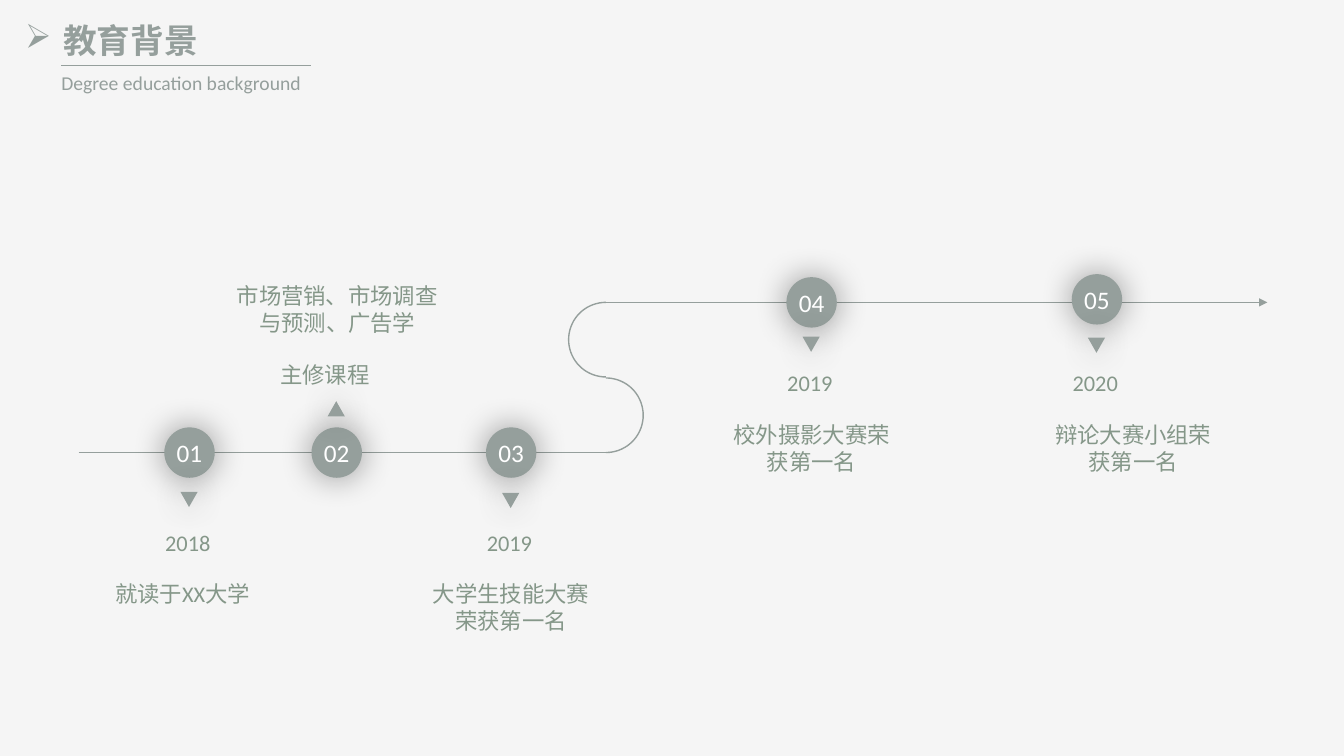
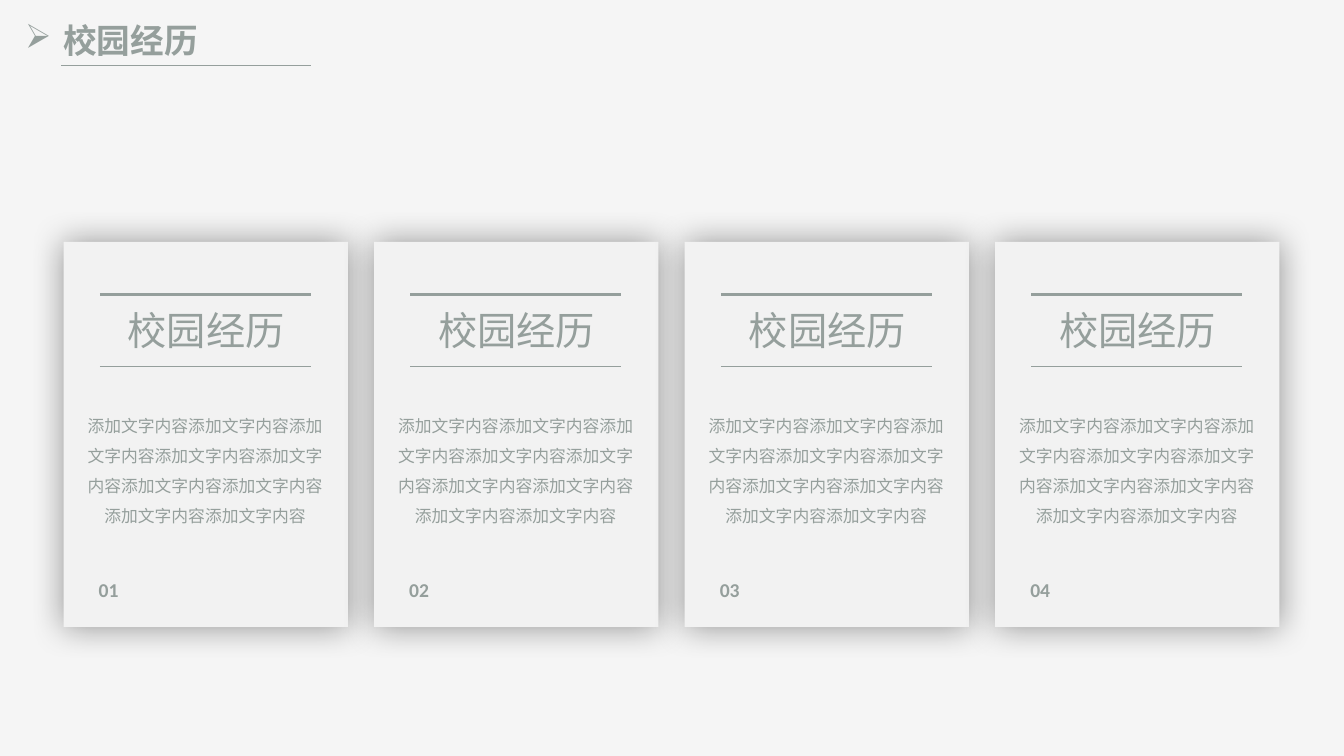
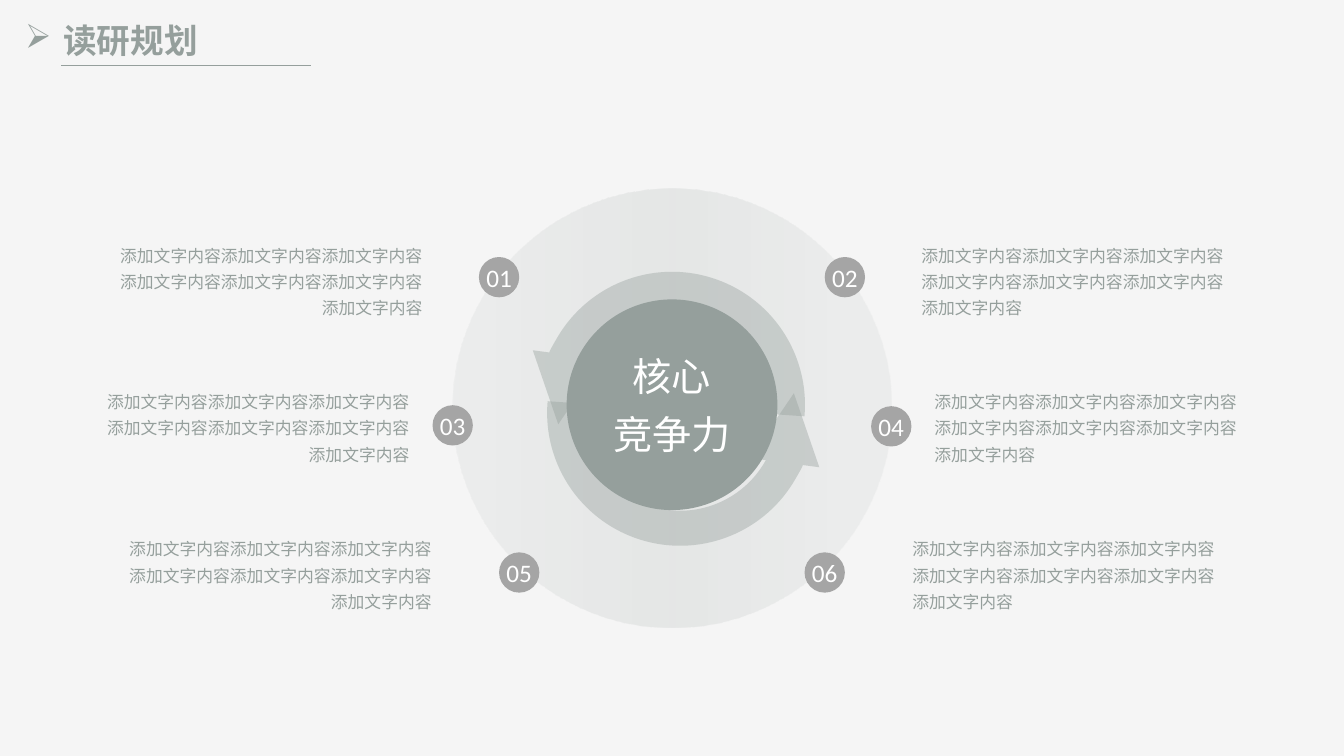
"""Build three résumé slides: education timeline, campus cards and study plan."""
import math
from dataclasses import dataclass
from typing import Any, Optional

import lxml.etree
import pptx
import pptx.dml.color
import pptx.enum.shapes
import pptx.enum.text
import pptx.oxml.ns
import pptx.util

Inches = pptx.util.Inches
Pt = pptx.util.Pt
qn = pptx.oxml.ns.qn
RGBColor = pptx.dml.color.RGBColor
Preset = pptx.enum.shapes.MSO_SHAPE
Align = pptx.enum.text.PP_ALIGN

SAGE = RGBColor(0x95, 0x9F, 0x9C)
LEAF = RGBColor(0x85, 0x97, 0x89)
GREY = RGBColor(0xA5, 0xA5, 0xA5)
CARD = RGBColor(0xF2, 0xF2, 0xF2)
PAPER = RGBColor(0xF5, 0xF5, 0xF5)
WHITE = RGBColor(0xFF, 0xFF, 0xFF)
FONT = "Calibri"
FILLER = "添加文字内容"
UPPER_Y, LOWER_Y, BEND_X, BEND_RADIUS = 3.0, 4.49, 6.01, 0.37
CARD_TOP, CARD_WIDTH, CARD_HEIGHT, CARD_PITCH = 2.4, 2.82, 3.82, 3.08


@dataclass(frozen=True)
class Area:
    """Left, top, width and height in inches."""
    left: float
    top: float
    width: float
    height: float

    def lengths(self) -> list[Any]:
        """Give the four lengths for python-pptx."""
        return [Inches(v) for v in (self.left, self.top, self.width, self.height)]


@dataclass(frozen=True)
class Style:
    """Look of one text."""
    size: float
    color: RGBColor = SAGE
    bold: bool = False
    align: Any = Align.LEFT
    spacing: Optional[float] = None
    wrap: bool = True


@dataclass(frozen=True)
class Milestone:
    """Numbered stop on the timeline with its pointer."""
    number: str
    left: float
    top: float
    pointer_top: float
    pointer_up: bool = False


@dataclass(frozen=True)
class Label:
    """Text placed beside a milestone."""
    text: str
    area: Area
    style: Style


@dataclass(frozen=True)
class Topic:
    """Numbered dot on the ring with its paragraph."""
    number: str
    dot: tuple[float, float]
    text: tuple[float, float]
    align: Any


TITLE = Style(24, bold=True, align=Align.JUSTIFY)
SUBTITLE = Style(14, align=Align.JUSTIFY)
NUMBER = Style(18, WHITE, align=Align.CENTER, wrap=False)
YEAR = Style(16, LEAF, wrap=False)
COURSE = Style(16, LEAF)
EVENT = Style(16, LEAF, align=Align.CENTER)
CARD_TITLE = Style(28, align=Align.CENTER, wrap=False)
CARD_BODY = Style(12, align=Align.CENTER, spacing=1.5)
CARD_NUMBER = Style(14, bold=True, wrap=False)
CORE = Style(28, WHITE, align=Align.CENTER)

MILESTONES = (
    Milestone("01", 1.63, 4.24, 4.88),
    Milestone("02", 3.09, 4.24, 3.98, pointer_up=True),
    Milestone("03", 4.82, 4.24, 4.89),
    Milestone("04", 7.8, 2.75, 3.34),
    Milestone("05", 10.63, 2.72, 3.35),
)
LABELS = (
    Label("2018", Area(1.54, 5.2, 0.66, 0.37), YEAR),
    Label("2019", Area(4.73, 5.2, 0.66, 0.37), YEAR),
    Label("2019", Area(7.71, 3.61, 0.66, 0.37), YEAR),
    Label("2020", Area(10.54, 3.61, 0.66, 0.37), YEAR),
    Label("主修课程", Area(2.68, 3.53, 1.34, 0.37), COURSE),
    Label("市场营销、市场调查与预测、广告学", Area(2.17, 2.75, 2.35, 0.64), EVENT),
    Label("就读于XX大学", Area(0.89, 5.71, 1.84, 0.37), EVENT),
    Label("大学生技能大赛荣获第一名", Area(4.13, 5.71, 1.88, 0.64), EVENT),
    Label("校外摄影大赛荣获第一名", Area(7.11, 4.13, 1.88, 0.64), EVENT),
    Label("辩论大赛小组荣获第一名", Area(10.3, 4.13, 1.88, 0.64), EVENT),
)
TOPICS = (
    Topic("01", (4.75, 2.55), (0.95, 2.33), Align.RIGHT),
    Topic("02", (8.18, 2.55), (9.04, 2.33), Align.LEFT),
    Topic("03", (4.29, 4.02), (0.82, 3.78), Align.RIGHT),
    Topic("04", (8.64, 4.03), (9.17, 3.78), Align.LEFT),
    Topic("05", (4.95, 5.48), (1.04, 5.24), Align.RIGHT),
    Topic("06", (7.98, 5.48), (8.95, 5.24), Align.LEFT),
)


def add_child(parent: Any, tag: str, **values: Any) -> Any:
    """Append an XML element with the given attributes."""
    return lxml.etree.SubElement(parent, qn(tag), {k: str(v) for k, v in values.items()})


def write(frame: Any, text: str, style: Style) -> None:
    """Put one styled paragraph into a text frame."""
    frame.word_wrap = style.wrap
    para = frame.paragraphs[0]
    para.alignment = style.align
    if style.spacing:
        para.line_spacing = style.spacing
    span = para.add_run()
    span.text = text
    formats = {"name": FONT, "size": Pt(style.size), "bold": style.bold}
    for name, value in formats.items():
        setattr(span.font, name, value)
    span.font.color.rgb = style.color


def add_text(page: Any, text: str, area: Area, style: Style) -> Any:
    """Add a text box."""
    box = page.shapes.add_textbox(*area.lengths())
    write(box.text_frame, text, style)
    box.text_frame.auto_size = pptx.enum.text.MSO_AUTO_SIZE.SHAPE_TO_FIT_TEXT
    return box


def add_shape(page: Any, preset: Any, area: Area, color: Optional[RGBColor],
              glow: bool = False) -> Any:
    """Add an unlined preset shape, with a soft shadow if asked."""
    shape = page.shapes.add_shape(preset, *area.lengths())
    shape.shadow.inherit = False
    shape.line.fill.background()
    if color is None:
        shape.fill.background()
    else:
        shape.fill.solid()
        shape.fill.fore_color.rgb = color
    if glow:
        effects = shape.element.spPr.find(qn("a:effectLst"))
        shadow = add_child(effects, "a:outerShdw", blurRad=Pt(24), dist=0, dir=0,
                           algn="ctr", rotWithShape=0)
        add_child(add_child(shadow, "a:srgbClr", val="000000"), "a:alpha", val=40000)
    return shape


def add_badge(page: Any, number: str, area: Area, color: RGBColor, glow: bool = False) -> None:
    """Add a round badge with a centred number."""
    badge = add_shape(page, Preset.OVAL, area, color, glow)
    frame = badge.text_frame
    for side in ("left", "top", "right", "bottom"):
        setattr(frame, f"margin_{side}", 0)
    frame.vertical_anchor = pptx.enum.text.MSO_ANCHOR.MIDDLE
    write(frame, number, NUMBER)


def set_line(shape: Any, width: float) -> Any:
    """Give a shape or connector a sage line and return its XML."""
    shape.line.color.rgb = SAGE
    shape.line.width = Pt(width)
    return shape.element.spPr.find(qn("a:ln"))


def add_rule(page: Any, left: float, right: float, y: float, width: float,
             arrow: bool = False) -> None:
    """Add a level line, optionally with an arrowhead at its right end."""
    rule = page.shapes.add_connector(
        pptx.enum.shapes.MSO_CONNECTOR.STRAIGHT,
        Inches(left), Inches(y), Inches(right), Inches(y))
    line = set_line(rule, width)
    if arrow:
        add_child(line, "a:tailEnd", type="triangle")
    add_child(rule.element.spPr, "a:effectLst")


def add_bend(page: Any, center_y: float, side: int) -> None:
    """Add a half circle bulging left (-1) or right (1)."""
    angles = [math.radians(degree) for degree in range(-90, 91, 5)]
    points = [(Inches(BEND_X + side * BEND_RADIUS * math.cos(angle)),
               Inches(center_y + BEND_RADIUS * math.sin(angle))) for angle in angles]
    builder = page.shapes.build_freeform(*points[0])
    builder.add_line_segments(points[1:], close=False)
    bend = builder.convert_to_shape()
    bend.shadow.inherit = False
    bend.fill.background()
    set_line(bend, 1)


def add_page(deck: Any, title: str) -> Any:
    """Add a blank page with the shared background and heading."""
    page = deck.slides.add_slide(deck.slide_layouts[6])
    page.background.fill.solid()
    page.background.fill.fore_color.rgb = PAPER
    box = add_text(page, title, Area(0.15, 0.15, 2.38, 0.5), TITLE)
    properties = box.element.find(".//" + qn("a:pPr"))
    properties.set("marL", str(Inches(0.38)))
    properties.set("indent", str(Inches(-0.38)))
    add_child(properties, "a:buChar", char="➢")
    add_rule(page, 0.61, 3.08, 0.65, 0.5)
    return page


def build_timeline(deck: Any) -> None:
    """Build the education timeline."""
    page = add_page(deck, "教育背景")
    add_text(page, "Degree education background", Area(0.51, 0.65, 3.22, 0.34), SUBTITLE)
    add_rule(page, 0.78, BEND_X, LOWER_Y, 1)
    add_rule(page, BEND_X, 12.57, UPPER_Y, 1, arrow=True)
    add_bend(page, UPPER_Y + BEND_RADIUS, -1)
    add_bend(page, LOWER_Y - BEND_RADIUS, 1)
    for stop in MILESTONES:
        add_badge(page, stop.number, Area(stop.left, stop.top, 0.5, 0.5), SAGE, glow=True)
        pointer = add_shape(page, Preset.ISOSCELES_TRIANGLE,
                            Area(stop.left + 0.16, stop.pointer_top, 0.17, 0.15),
                            SAGE, glow=True)
        pointer.rotation = 0 if stop.pointer_up else 180
    for label in LABELS:
        add_text(page, label.text, label.area, label.style)


def build_cards(deck: Any) -> None:
    """Build the row of four campus cards."""
    page = add_page(deck, "校园经历")
    for index in range(4):
        left = 0.63 + index * CARD_PITCH
        add_shape(page, Preset.RECTANGLE, Area(left, CARD_TOP, CARD_WIDTH, CARD_HEIGHT),
                  CARD, glow=True)
        add_text(page, FILLER * 9, Area(left + 0.14, 3.97, 2.53, 1.31), CARD_BODY)
        add_text(page, "校园经历", Area(left + 0.53, 2.99, 1.77, 0.57), CARD_TITLE)
        for y, width in ((2.92, 2.25), (3.63, 0.5)):
            add_rule(page, left + 0.36, left + 2.45, y, width)
        add_text(page, f"{index + 1:02}", Area(left + 0.25, 5.68, 0.42, 0.34), CARD_NUMBER)


def add_ring(page: Any) -> None:
    """Add the pale disc with its see-through gradient."""
    ring = add_shape(page, Preset.OVAL, Area(4.49, 1.87, 4.35, 4.35), SAGE)
    ring.fill.gradient()
    ring.fill.gradient_angle = 0
    stops = ring.element.spPr.find(".//" + qn("a:gsLst"))
    for stop in list(stops):
        stops.remove(stop)
    for position, alpha in ((0, 9), (50, 16), (100, 8)):
        stop = add_child(stops, "a:gs", pos=position * 1000)
        color = add_child(stop, "a:srgbClr", val=SAGE)
        add_child(color, "a:alpha", val=alpha * 1000)


def add_swirl(page: Any, left: float, top: float, rotation: int) -> None:
    """Add a thick translucent arc arrow."""
    swirl = add_shape(page, Preset.ARC, Area(left, top, 2.29, 2.29), None)
    swirl.adjustments[0] = 102.14
    swirl.adjustments[1] = 3.11
    swirl.rotation = rotation
    line = set_line(swirl, 25)
    add_child(line.find(".//" + qn("a:srgbClr")), "a:alpha", val=40000)
    add_child(line, "a:headEnd", type="triangle", w="sm", len="sm")


def build_plan(deck: Any) -> None:
    """Build the study plan around its core."""
    page = add_page(deck, "读研规划")
    add_ring(page)
    add_swirl(page, 5.52, 2.87, 0)
    add_swirl(page, 5.6, 2.95, 180)
    add_shape(page, Preset.OVAL, Area(5.62, 2.97, 2.09, 2.09), SAGE)
    for text, top in (("核心", 3.45), ("竞争力", 4.02)):
        add_text(page, text, Area(5.83, top, 1.67, 0.57), CORE)
    for topic in TOPICS:
        add_badge(page, topic.number, Area(*topic.dot, 0.4, 0.4), GREY)
        add_text(page, FILLER * 7, Area(*topic.text, 3.34, 0.86),
                 Style(12, align=topic.align, spacing=1.3))


def main() -> None:
    """Build and save the deck."""
    deck = pptx.Presentation()
    deck.slide_width = Inches(13.33)
    deck.slide_height = Inches(7.5)
    build_timeline(deck)
    build_cards(deck)
    build_plan(deck)
    deck.save("out.pptx")


if __name__ == "__main__":
    main()
